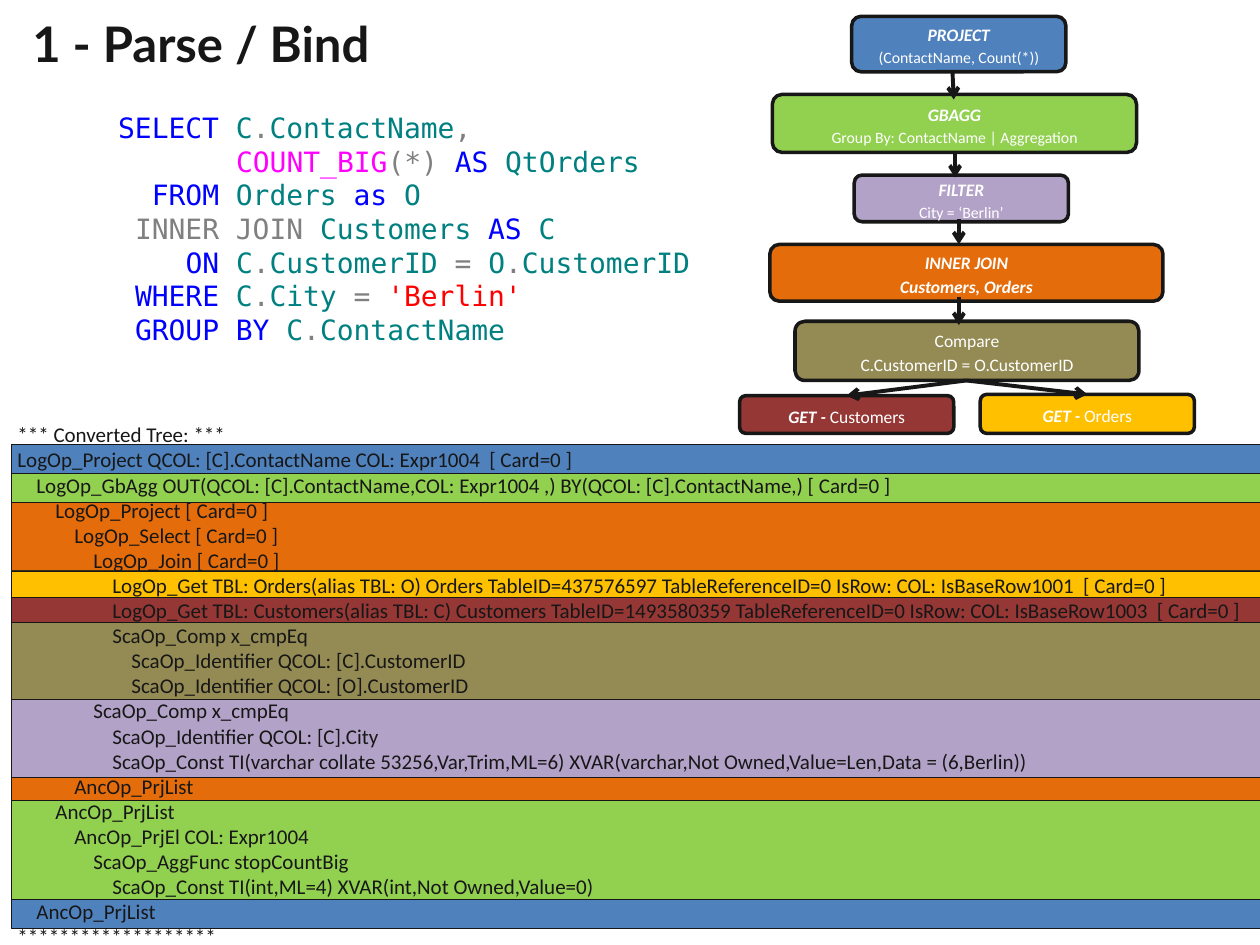
from itertools import pairwise
from lxml.etree import SubElement
from pptx import Presentation
from pptx.dml.color import RGBColor
from pptx.enum.shapes import MSO_CONNECTOR, MSO_SHAPE
from pptx.enum.text import MSO_ANCHOR, PP_ALIGN
from pptx.oxml.ns import qn
from pptx.util import Inches, Pt

INK = RGBColor(0x17, 0x17, 0x17)
WHITE = RGBColor(0xFF, 0xFF, 0xFF)
BLUE = RGBColor(0x4F, 0x81, 0xBD)
GREEN = RGBColor(0x92, 0xD0, 0x50)
ORANGE = RGBColor(0xE4, 0x6C, 0x0A)
YELLOW = RGBColor(0xFF, 0xC0, 0x00)
RED = RGBColor(0x95, 0x37, 0x35)
OLIVE = RGBColor(0x94, 0x8A, 0x54)
PURPLE = RGBColor(0xB3, 0xA2, 0xC7)
KEYWORD = RGBColor(0x00, 0x00, 0xFF)
NAME = RGBColor(0x00, 0x80, 0x80)
SYMBOL = RGBColor(0x80, 0x80, 0x80)
FUNCTION = RGBColor(0xFF, 0x00, 0xFF)
STRING = RGBColor(0xFF, 0x00, 0x00)

COLUMNS, ROWS = 100, 75


class PlanSlide:
    body_font = "Calibri"
    title_font = "Lato"
    code_font = "DejaVu Sans Mono"

    def __init__(self, deck):
        self.slide = deck.slides.add_slide(deck.slide_layouts[6])
        self.column = deck.slide_width / COLUMNS
        self.row = deck.slide_height / ROWS

    def place(self, *cells):
        return [round(cell * (self.row if i % 2 else self.column)) for i, cell in enumerate(cells)]

    def add_pieces(self, paragraph, pieces, font, size, bold=False, italic=False):
        for color, words in pieces:
            run = paragraph.add_run()
            run.text = words
            run.font.name = font
            run.font.size = Pt(size)
            run.font.bold = bold
            run.font.italic = italic
            run.font.color.rgb = color

    def text(self, cells, lines, font, size, step=0, spacing=None, bold=False, anchor=MSO_ANCHOR.TOP):
        frame = self.slide.shapes.add_textbox(*self.place(*cells)).text_frame
        frame.word_wrap = True
        frame.vertical_anchor = anchor
        for i, (level, pieces) in enumerate(lines):
            paragraph = frame.add_paragraph() if i else frame.paragraphs[0]
            paragraph.line_spacing = spacing
            properties = paragraph._p.get_or_add_pPr()
            properties.set("marL", str(int(Pt(level * step))))
            properties.set("indent", "0")
            self.add_pieces(paragraph, pieces, font, size, bold)

    def box(self, kind, cells, fill, weight):
        shape = self.slide.shapes.add_shape(kind, *self.place(*cells))
        shape.shadow.inherit = False
        shape.fill.solid()
        shape.fill.fore_color.rgb = fill
        shape.line.color.rgb = INK
        shape.line.width = Pt(weight)
        return shape

    def band(self, top, bottom, fill):
        self.box(MSO_SHAPE.RECTANGLE, (0.9, top, 103.9, bottom - top), fill, 0.25)

    def node(self, cells, fill, lines):
        frame = self.box(MSO_SHAPE.ROUNDED_RECTANGLE, cells, fill, 2).text_frame
        frame.word_wrap = True
        frame.vertical_anchor = MSO_ANCHOR.MIDDLE
        for i, parts in enumerate(lines):
            paragraph = frame.add_paragraph() if i else frame.paragraphs[0]
            paragraph.alignment = PP_ALIGN.CENTER
            paragraph.line_spacing = 1.15
            for words, size, strong in parts:
                self.add_pieces(paragraph, [(WHITE, words)], self.body_font, size, strong, strong)

    def arrow(self, start, end):
        line = self.slide.shapes.add_connector(MSO_CONNECTOR.STRAIGHT, *self.place(*start, *end))
        line.line.color.rgb = INK
        line.line.width = Pt(2.25)
        SubElement(line.line._get_or_add_ln(), qn("a:tailEnd"), type="arrow")
        SubElement(line._element.spPr, qn("a:effectLst"))


deck = Presentation()
deck.slide_width, deck.slide_height = Inches(10), Inches(7.5)
plan = PlanSlide(deck)

band_edges = [35.3, 37.6, 39.9, 45.3, 47.4, 49.4, 55.5, 61.7, 63.5, 71.4, 73.7]
band_fills = [BLUE, GREEN, ORANGE, YELLOW, RED, OLIVE, PURPLE, ORANGE, GREEN, BLUE]
for (top, bottom), fill in zip(pairwise(band_edges), band_fills):
    plan.band(top, bottom, fill)

converted_tree = [
    (0, "*** Converted Tree: ***"),
    (0, "LogOp_Project QCOL: [C].ContactName COL: Expr1004  [ Card=0 ]"),
    (1, "LogOp_GbAgg OUT(QCOL: [C].ContactName,COL: Expr1004 ,) BY(QCOL: [C].ContactName,) [ Card=0 ]"),
    (2, "LogOp_Project [ Card=0 ]"),
    (3, "LogOp_Select [ Card=0 ]"),
    (4, "LogOp_Join [ Card=0 ]"),
    (5, "LogOp_Get TBL: Orders(alias TBL: O) Orders TableID=437576597 "
        "TableReferenceID=0 IsRow: COL: IsBaseRow1001  [ Card=0 ]"),
    (5, "LogOp_Get TBL: Customers(alias TBL: C) Customers TableID=1493580359 "
        "TableReferenceID=0 IsRow: COL: IsBaseRow1003  [ Card=0 ]"),
    (5, "ScaOp_Comp x_cmpEq"),
    (6, "ScaOp_Identifier QCOL: [C].CustomerID"),
    (6, "ScaOp_Identifier QCOL: [O].CustomerID"),
    (4, "ScaOp_Comp x_cmpEq"),
    (5, "ScaOp_Identifier QCOL: [C].City"),
    (5, "ScaOp_Const TI(varchar collate 53256,Var,Trim,ML=6) "
        "XVAR(varchar,Not Owned,Value=Len,Data = (6,Berlin))"),
    (3, "AncOp_PrjList"),
    (2, "AncOp_PrjList"),
    (3, "AncOp_PrjEl COL: Expr1004"),
    (4, "ScaOp_AggFunc stopCountBig"),
    (5, "ScaOp_Const TI(int,ML=4) XVAR(int,Not Owned,Value=0)"),
    (1, "AncOp_PrjList"),
    (0, "*******************"),
]
plan.text((0.4, 33, 99.5, 44.4), [(level, [(INK, words)]) for level, words in converted_tree],
          plan.body_font, 12, step=10.85, spacing=Pt(14.35))

plan.text((1.6, 1.6, 98.4, 3.6), [(0, [(INK, "1 - Parse / Bind")])],
          plan.title_font, 28, bold=True, anchor=MSO_ANCHOR.MIDDLE)

customer = [(NAME, "C"), (SYMBOL, ".")]
query = [
    (0, [(KEYWORD, "SELECT "), *customer, (NAME, "ContactName"), (SYMBOL, ",")]),
    (7, [(FUNCTION, "COUNT_BIG"), (SYMBOL, "(*) "), (KEYWORD, "AS "), (NAME, "QtOrders")]),
    (2, [(KEYWORD, "FROM "), (NAME, "Orders "), (KEYWORD, "as "), (NAME, "O")]),
    (1, [(SYMBOL, "INNER JOIN "), (NAME, "Customers "), (KEYWORD, "AS "), (NAME, "C")]),
    (4, [(KEYWORD, "ON "), *customer, (NAME, "CustomerID "), (SYMBOL, "= "),
         (NAME, "O"), (SYMBOL, "."), (NAME, "CustomerID")]),
    (1, [(KEYWORD, "WHERE "), *customer, (NAME, "City "), (SYMBOL, "= "), (STRING, "'Berlin'")]),
    (1, [(KEYWORD, "GROUP BY "), *customer, (NAME, "ContactName")]),
]
plan.text((8.4, 8.3, 48.4, 19.9), query, plan.code_font, 16, step=9.63, spacing=Pt(19.2))

operators = [
    ((67.6, 1.3, 17, 4.4), BLUE, [[("PROJECT", 10, True)], [("(ContactName, Count(*))", 9, False)]]),
    ((61.3, 7.5, 28.9, 4.6), GREEN,
     [[("GBAGG", 10, True)], [("Group By: ContactName | Aggregation", 9, False)]]),
    ((67.8, 13.9, 17, 3.7), PURPLE, [[("FILTER", 10, True)], [("City = ‘Berlin’", 9, False)]]),
    ((77.8, 31.3, 17, 3.1), YELLOW, [[("GET - ", 10, True), ("Orders", 10, False)]]),
    ((58.7, 31.4, 17, 3), RED, [[("GET - ", 10, True), ("Customers", 10, False)]]),
    ((61.1, 19.4, 31.2, 4.5), ORANGE, [[("INNER JOIN", 10, True)], [("Customers, Orders", 10, True)]]),
    ((63.1, 25.5, 27.3, 4.7), OLIVE,
     [[("Compare", 10, False)], [("C.CustomerID = O.CustomerID", 10, False)]]),
]
for cells, fill, lines in operators:
    plan.node(cells, fill, lines)

flows = [
    ((75.6, 5.8), (75.7, 7.9)),
    ((75.8, 12), (75.8, 14.1)),
    ((76.1, 17.4), (76.1, 19.4)),
    ((76.1, 23.6), (76.1, 25.8)),
    ((76.7, 30.2), (86.3, 31.3)),
    ((76.7, 30.2), (67.2, 31.4)),
]
for start, end in flows:
    plan.arrow(start, end)

deck.save("out.pptx")
